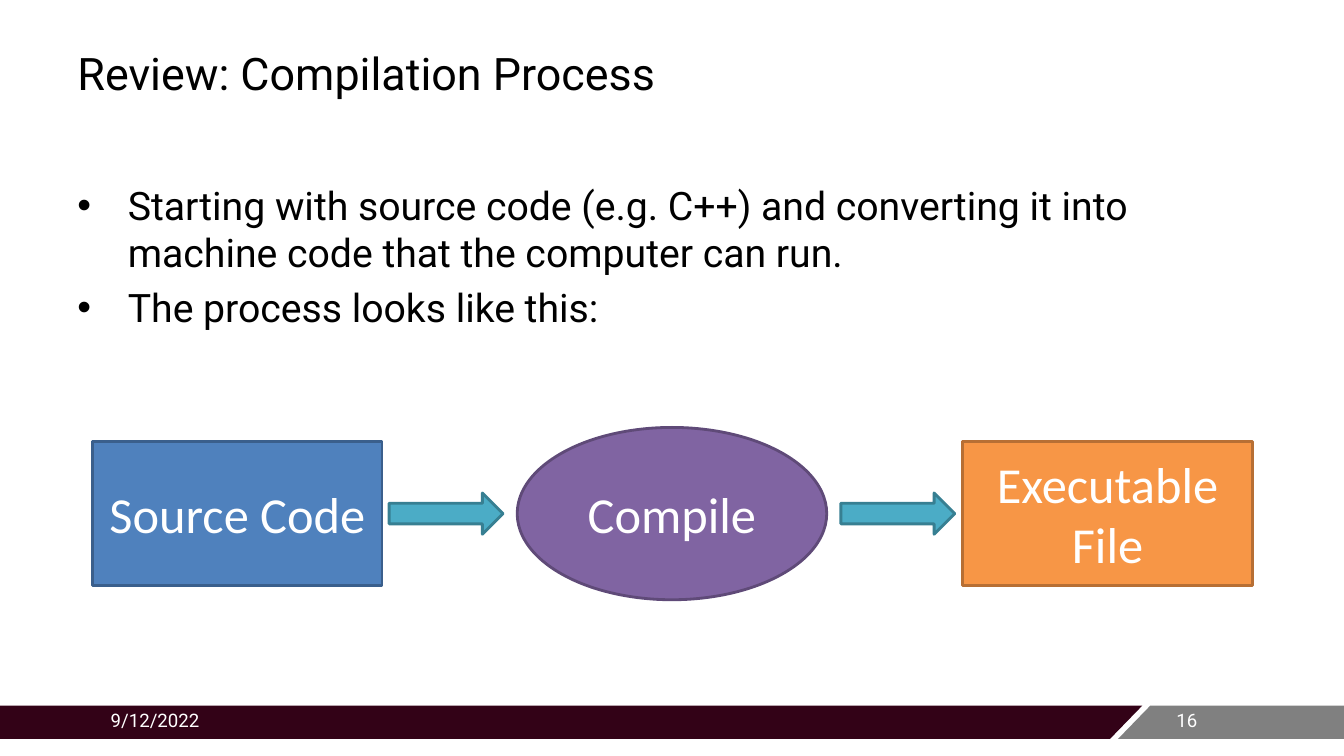
from lxml.etree import SubElement
from pptx import Presentation
from pptx.dml.color import RGBColor
from pptx.enum.shapes import MSO_SHAPE
from pptx.enum.text import MSO_ANCHOR, PP_ALIGN
from pptx.oxml.ns import qn
from pptx.util import Inches, Pt

BLACK = RGBColor(0x00, 0x00, 0x00)
WHITE = RGBColor(0xFF, 0xFF, 0xFF)
MAROON = RGBColor(0x33, 0x02, 0x17)
GRAY = RGBColor(0x80, 0x80, 0x80)
BLUE = RGBColor(0x4F, 0x81, 0xBD)
BLUE_EDGE = RGBColor(0x3A, 0x5F, 0x8C)
PURPLE = RGBColor(0x80, 0x64, 0xA2)
PURPLE_EDGE = RGBColor(0x5F, 0x4A, 0x78)
ORANGE = RGBColor(0xF7, 0x96, 0x46)
ORANGE_EDGE = RGBColor(0xB7, 0x6F, 0x34)
TEAL = RGBColor(0x4B, 0xAC, 0xC6)
TEAL_EDGE = RGBColor(0x37, 0x7F, 0x92)

FLOW_MIDDLE = 5.095


def write(paragraph, text, *, size, font="Roboto", color=BLACK, align=PP_ALIGN.LEFT):
    paragraph.alignment = align
    run = paragraph.add_run()
    run.text = text
    run.font.name = font
    run.font.size = Pt(size)
    run.font.color.rgb = color


def add_bullet(paragraph, indent):
    """Give the paragraph a round bullet with a hanging indent in inches."""
    properties = paragraph._p.get_or_add_pPr()
    properties.set("marL", str(Inches(indent)))
    properties.set("indent", str(Inches(-indent)))
    SubElement(properties, qn("a:buFont"), typeface="Arial")
    SubElement(properties, qn("a:buChar"), char="•")


class SlideBuilder:
    """Holds the slide and the style its elements share."""

    edge_width = Pt(2)
    body_size = 28
    bullet_indent = 0.5

    def __init__(self, slide):
        self.shapes = slide.shapes

    def text_frame(self, left, top, width, height, anchor=MSO_ANCHOR.TOP):
        box = self.shapes.add_textbox(Inches(left), Inches(top), Inches(width), Inches(height))
        frame = box.text_frame
        frame.word_wrap = True
        frame.vertical_anchor = anchor
        return frame

    def label(self, text, left, top, width, height, anchor=MSO_ANCHOR.TOP, **style):
        frame = self.text_frame(left, top, width, height, anchor)
        write(frame.paragraphs[0], text, **style)

    def bullets(self, items, left, top, width, height):
        frame = self.text_frame(left, top, width, height)
        for index, item in enumerate(items):
            paragraph = frame.add_paragraph() if index else frame.paragraphs[0]
            paragraph.space_before = Pt(0.2 * self.body_size)
            add_bullet(paragraph, self.bullet_indent)
            write(paragraph, item, size=self.body_size)

    def band(self, corners, fill):
        """Draw a filled outline without an edge through the corners."""
        start, *others = [(Inches(x), Inches(y)) for x, y in corners]
        builder = self.shapes.build_freeform(*start)
        builder.add_line_segments(others, close=True)
        band = builder.convert_to_shape()
        band.shadow.inherit = False
        band.fill.solid()
        band.fill.fore_color.rgb = fill
        band.line.fill.background()

    def flow_shape(self, kind, left, width, height, fill, edge, text=None):
        """Draw one part of the process, centred on the flow's middle line."""
        part = self.shapes.add_shape(
            kind, Inches(left), Inches(FLOW_MIDDLE - height / 2), Inches(width), Inches(height))
        part.shadow.inherit = False
        part.fill.solid()
        part.fill.fore_color.rgb = fill
        part.line.color.rgb = edge
        part.line.width = self.edge_width
        if text:
            frame = part.text_frame
            frame.word_wrap = True
            frame.vertical_anchor = MSO_ANCHOR.MIDDLE
            write(frame.paragraphs[0], text, size=36, font="Calibri", color=WHITE,
                  align=PP_ALIGN.CENTER)


def main():
    presentation = Presentation()
    presentation.slide_width = Inches(13.33)
    presentation.slide_height = Inches(7.5)
    builder = SlideBuilder(presentation.slides.add_slide(presentation.slide_layouts[6]))

    builder.band([(-0.02, 7), (11.33, 7), (11.01, 7.33), (-0.02, 7.33)], MAROON)
    builder.band([(11.41, 7), (13.35, 7), (13.35, 7.33), (11.09, 7.33)], GRAY)
    for text, left, width in (("16", 11.57, 0.77), ("9/12/2022", 1, 7.5)):
        builder.label(text, left, 6.98, width, 0.4, size=13.3, color=WHITE)

    builder.label("Review: Compilation Process", 0.67, 0.28, 7.5, 0.88,
                  anchor=MSO_ANCHOR.MIDDLE, size=32)
    builder.bullets([
        "Starting with source code (e.g. C++) and converting it into "
        "machine code that the computer can run.",
        "The process looks like this:",
    ], 0.67, 1.75, 12, 4.95)

    for text, left, fill, edge in (
        ("Source Code", 0.92, BLUE, BLUE_EDGE),
        ("Executable File", 9.55, ORANGE, ORANGE_EDGE),
    ):
        builder.flow_shape(MSO_SHAPE.RECTANGLE, left, 2.87, 1.43, fill, edge, text)
    builder.flow_shape(MSO_SHAPE.OVAL, 5.13, 3.07, 1.71, PURPLE, PURPLE_EDGE, "Compile")
    for left in (3.86, 8.34):
        builder.flow_shape(MSO_SHAPE.RIGHT_ARROW, left, 1.13, 0.41, TEAL, TEAL_EDGE)

    presentation.save("out.pptx")


if __name__ == "__main__":
    main()
